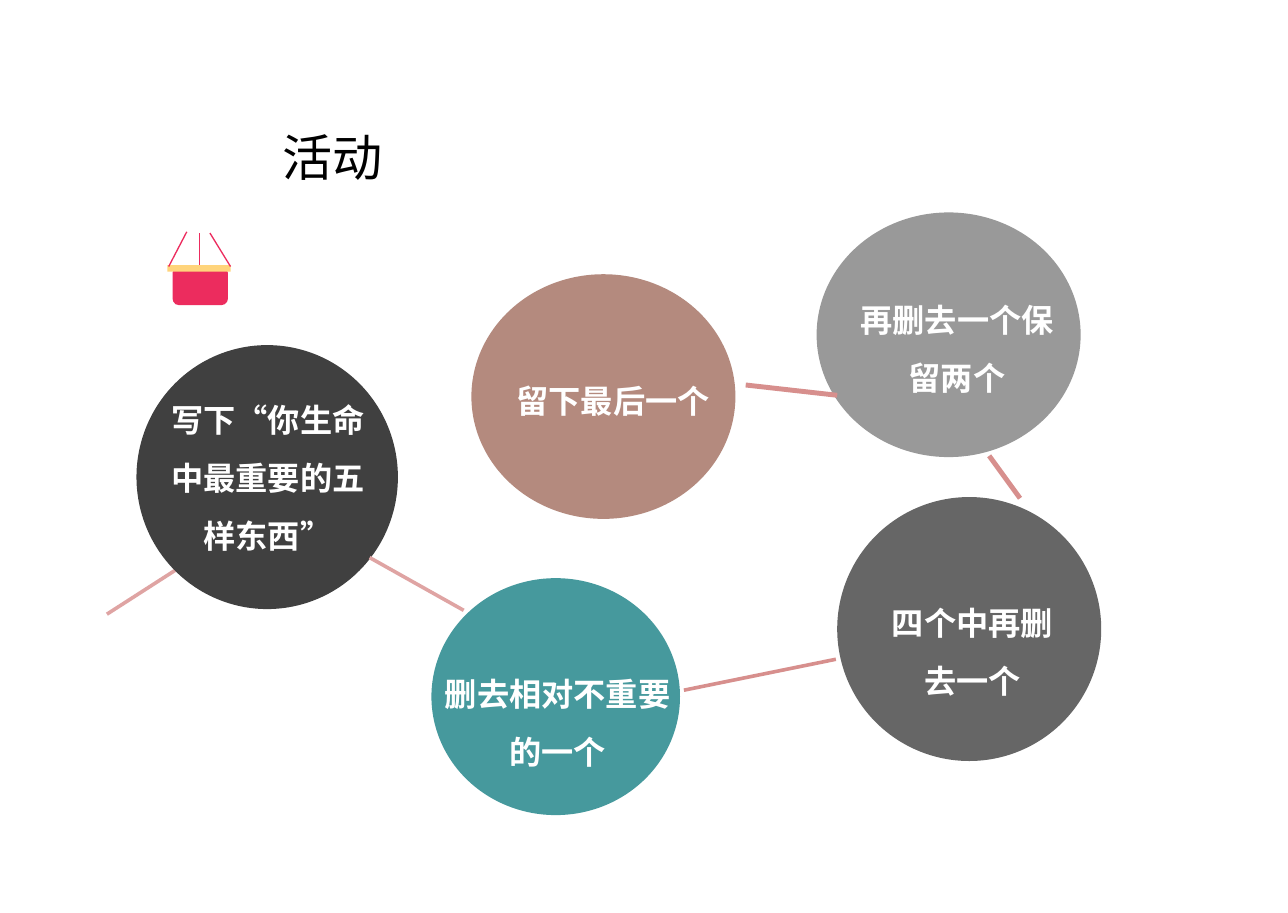
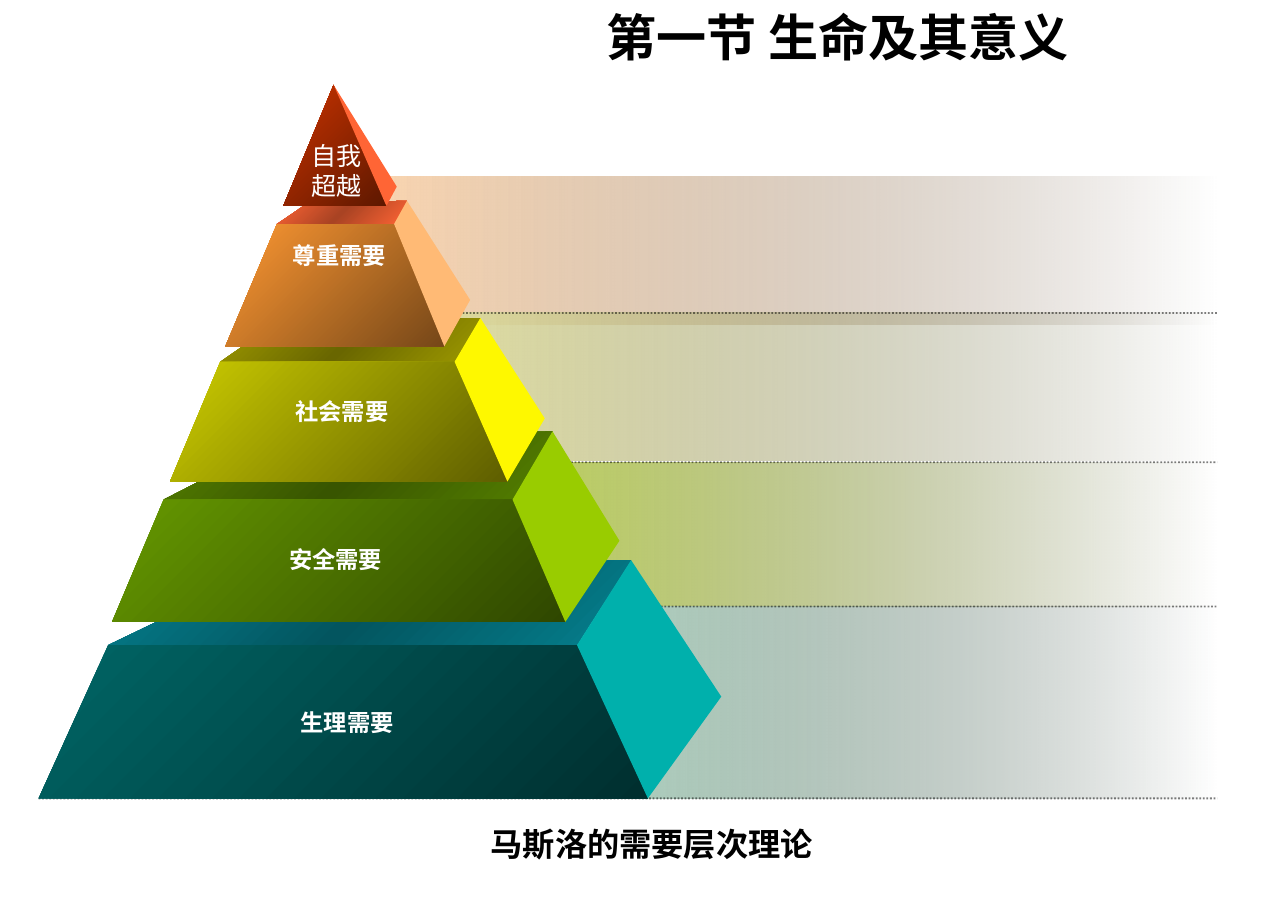
from dataclasses import dataclass
from typing import NamedTuple

from pptx import Presentation
from pptx.dml.color import RGBColor
from pptx.enum.dml import MSO_LINE
from pptx.enum.shapes import MSO_CONNECTOR, MSO_SHAPE
from pptx.enum.text import MSO_ANCHOR, MSO_AUTO_SIZE, PP_ALIGN
from pptx.oxml import parse_xml
from pptx.oxml.ns import nsdecls, qn
from pptx.util import Inches, Pt

STRAIGHT = MSO_CONNECTOR.STRAIGHT
OVAL, RECT, ROUNDED = MSO_SHAPE.OVAL, MSO_SHAPE.RECTANGLE, MSO_SHAPE.ROUNDED_RECTANGLE
TOP, MIDDLE = MSO_ANCHOR.TOP, MSO_ANCHOR.MIDDLE
LEFT, CENTER = PP_ALIGN.LEFT, PP_ALIGN.CENTER
DOTTED = MSO_LINE.ROUND_DOT
NO_AUTOFIT = MSO_AUTO_SIZE.NONE
TITLE_ONLY = 5


class Tone(NamedTuple):
    """Colours of one pyramid tier."""
    front: tuple
    side: str
    roof: tuple = ()
    band: tuple = ()


@dataclass(frozen=True)
class Theme:
    """Colours, fonts and type sizes shared by both slides."""
    ink: str = "000000"
    paper: str = "FFFFFF"
    basket: str = "EC2C5E"
    rim: str = "FFD47B"
    link_light: str = "DFA4A3"
    link_dark: str = "D78F8D"
    circles: tuple = ("404040", "46999D", "666666", "999999", "B48A7E")
    cjk_font: str = "Noto Sans CJK SC"
    label_font: str = "Arial"
    caption_font: str = "Times New Roman"
    title_size: int = 28
    body_size: int = 18
    peak_size: int = 14
    label_size: int = 13
    physical: Tone = Tone(("006666", "002F2F"), "00B0AC", ("05808F", "03555F"), ("ACCEBD", "505F57"))
    safety: Tone = Tone(("669900", "2F4700"), "99CC00", ("558000", "385500"), ("BED25A", "58612A"))
    social: Tone = Tone(("CCCC00", "5E5E00"), "FEF800", ("9E9A00", "696600"), ("E2E0A0", "69684A"))
    esteem: Tone = Tone(("FF9933", "764718"), "FFBA75", ("FF6535", "A94323"), ("FFD8B1", "766452"))
    peak: Tone = Tone(("CC3300", "5E1800"), "FF6535")


THEME = Theme()


class Step(NamedTuple):
    """One activity circle with the link that leads into it."""
    text: str
    circle: tuple
    label: tuple
    link: tuple
    link_color: str
    link_width: float


class Tier(NamedTuple):
    """One pyramid tier: front edges, side tip, back edge, band and label."""
    tone: Tone
    foot: tuple
    crown: tuple
    tip: tuple
    back: tuple = ()
    band: tuple = ()
    rule: tuple = ()
    text: str = ""
    label: tuple = ()


STEPS = (
    Step("写下“你生命中最重要的五样东西”", (0.23, 1.03, 2.03, 2.05), (0.31, 1.26, 1.88, 1.45),
         (0, 3.12, 0.56, 2.76), THEME.link_light, 2),
    Step("删去相对不重要的一个", (2.52, 2.84, 1.93, 1.84), (2.5, 3.39, 2, 1),
         (2.04, 2.68, 2.77, 3.09), THEME.link_light, 2),
    Step("四个中再删去一个", (5.67, 2.21, 2.05, 2.05), (5.9, 2.84, 1.64, 1),
         (4.48, 3.71, 5.66, 3.47), THEME.link_dark, 2),
    Step("再删去一个保留两个", (5.51, 0, 2.05, 1.9), (5.74, 0.48, 1.72, 1),
         (6.85, 1.89, 7.09, 2.22), THEME.link_dark, 2.75),
    Step("留下最后一个", (2.83, 0.48, 2.05, 1.9), (3.07, 1.11, 1.72, 0.55),
         (4.96, 1.34, 5.67, 1.42), THEME.link_dark, 2.75),
)

TIERS = (
    Tier(THEME.physical, (0, 4.73, 5.54), (0.54, 4.18, 4.35), (5.3, 4.75),
         ((1.81, 3.74), (4.6, 3.69)), (4.45, 4.05, 1.49), (0, 5.54),
         "生理需要", (0.84, 4.77, 3.11, 0.36)),
    Tier(THEME.safety, (0.57, 4.09, 4.17), (0.97, 3.68, 3.22), (4.51, 3.54),
         ((1.91, 2.74), (3.99, 2.69)), (3.61, 2.93, 1.12), (4.28, 4.05),
         "安全需要", (0.84, 3.5, 2.93, 0.36)),
    Tier(THEME.social, (1.02, 3.64, 3.08), (1.41, 3.23, 2.15), (3.93, 2.59),
         ((1.9, 1.81), (3.43, 1.81)), (2.94, 1.77, 1.15), (3.61, 2.93),
         "社会需要", (1.9, 2.4, 0.91, 0.27)),
    Tier(THEME.esteem, (1.45, 3.15, 2.03), (1.85, 2.76, 1.08), (3.35, 1.67),
         ((2.1, 0.91), (2.86, 0.9)), (2.37, 0.71, 1.15), (2.74, 1.77),
         "尊重需要", (1.88, 1.19, 0.91, 0.27)),
    Tier(THEME.peak, (1.9, 2.7, 0.94), (2.29, 2.29, 0), (2.78, 0.79)),
)


def within(box, part):
    """Shift a part's left and top by the corner of its box."""
    return (box[0] + part[0], box[1] + part[1], *part[2:])


def lengths(values):
    """Turn numbers into inch lengths."""
    return [Inches(value) for value in values]


def paint(shape, color):
    """Give a shape a flat fill or, for a list of stops, a gradient."""
    shape.shadow.inherit = False
    shape.line.fill.background()
    if isinstance(color, str):
        shape.fill.solid()
        shape.fill.fore_color.rgb = RGBColor.from_string(color)
    return shape


def paint_gradient(shape, colors, angle=45, end_alpha=100):
    """Spread colours evenly along an angle, the last one with its opacity."""
    paint(shape, None)
    shape.fill.background()
    last = len(colors) - 1
    stops = "".join(
        f'<a:gs pos="{index * 100000 // last}"><a:srgbClr val="{color}">'
        f'<a:alpha val="{(end_alpha if index == last else 100) * 1000}"/></a:srgbClr></a:gs>'
        for index, color in enumerate(colors))
    blank = shape.element.spPr.find(qn("a:noFill"))
    blank.getparent().replace(blank, parse_xml(
        f'<a:gradFill {nsdecls("a")} rotWithShape="1"><a:gsLst>{stops}</a:gsLst>'
        f'<a:lin ang="{angle * 60000}" scaled="0"/></a:gradFill>'))


def add_block(shapes, kind, box, color):
    """Add a flat preset shape."""
    return paint(shapes.add_shape(kind, *lengths(box)), color)


def add_face(shapes, origin, points):
    """Add a closed outline whose points are relative to the origin."""
    corners = [lengths(within(origin, point)) for point in dict.fromkeys(points)]
    builder = shapes.build_freeform(*corners[0], scale=1.0)
    builder.add_line_segments(corners[1:], close=True)
    return builder.convert_to_shape()


def add_line(shapes, origin, ends, color, width, dash=None, alpha=None):
    """Add a straight line between two points relative to the origin."""
    points = within(origin, ends[:2]) + within(origin, ends[2:])
    line = shapes.add_connector(STRAIGHT, *lengths(points))
    line.line.color.rgb = RGBColor.from_string(color)
    line.line.width = Pt(width)
    if dash:
        line.line.dash_style = dash
    properties = line._element.spPr
    if alpha:
        tint = properties.find(".//" + qn("a:srgbClr"))
        tint.append(parse_xml(f'<a:alpha {nsdecls("a")} val="{alpha * 1000}"/>'))
    properties.append(parse_xml(f'<a:effectLst {nsdecls("a")}/>'))


def write(box, text, size, font=THEME.cjk_font, color=THEME.ink, bold=False, align=LEFT,
          anchor=TOP, spacing=None, wrap=True, shadow=False):
    """Fill a shape with formatted text, one paragraph a line."""
    frame = box.text_frame
    frame.text = text
    frame.word_wrap = wrap
    frame.auto_size = NO_AUTOFIT
    frame.vertical_anchor = anchor
    for para in frame.paragraphs:
        para.alignment = align
        if spacing:
            para.line_spacing = spacing
        for span in para.runs:
            span.font.name = font
            span.font.size = Pt(size)
            span.font.bold = bold
            span.font.color.rgb = RGBColor.from_string(color)
            latin = span.font._element.find(qn("a:latin"))
            latin.addnext(parse_xml(f'<a:ea {nsdecls("a")} typeface="{THEME.cjk_font}"/>'))
            if shadow:
                latin.addprevious(parse_xml(
                    f'<a:effectLst {nsdecls("a")}><a:outerShdw dist="17961" dir="2700000">'
                    '<a:srgbClr val="808080"/></a:outerShdw></a:effectLst>'))
    return box


def add_text(shapes, box, text, size, **style):
    """Add a formatted text box."""
    return write(shapes.add_textbox(*lengths(box)), text, size, **style)


def add_page(deck, title, box, bold=False):
    """Add a slide with its title placeholder moved into the box."""
    page = deck.slides.add_slide(deck.slide_layouts[TITLE_ONLY])
    heading = page.shapes.title
    heading.left, heading.top, heading.width, heading.height = lengths(box)
    write(heading, title, THEME.title_size, bold=bold)
    return page


def draw_basket(page, box):
    """Draw the hanging basket with its rim and three ropes."""
    shapes = page.shapes.add_group_shape().shapes
    add_block(shapes, ROUNDED, within(box, (0.04, 0.27, 0.43, 0.3)), THEME.basket)
    add_block(shapes, RECT, within(box, (0, 0.26, 0.49, 0.05)), THEME.rim)
    for rope in ((0.15, 0, 0.01, 0.27), (0.33, 0.01, 0.49, 0.27), (0.25, 0.01, 0.25, 0.26)):
        add_line(shapes, box, rope, THEME.basket, 0.75)


def draw_steps(page, box):
    """Draw the linked circles of the activity."""
    for step, color in zip(STEPS, THEME.circles):
        add_line(page.shapes, box, step.link, step.link_color, step.link_width)
        add_block(page.shapes, OVAL, within(box, step.circle), color)
        add_text(page.shapes, within(box, step.label), step.text, THEME.body_size,
                 color=THEME.paper, bold=True, align=CENTER, spacing=1.5)


def draw_bands(shapes, box):
    """Draw the fading bands and the dotted rules that end at the right edge."""
    right = box[2]
    tiers = [tier for tier in reversed(TIERS) if tier.band]
    for tier in tiers:
        left, top, height = tier.band
        band = shapes.add_shape(RECT, *lengths(within(box, (left, top, right - left, height))))
        paint_gradient(band, tier.tone.band, angle=0, end_alpha=0)
    for tier in tiers:
        left, top = tier.rule
        add_line(shapes, box, (left, top, right, top), THEME.ink, 1, dash=DOTTED, alpha=50)


def draw_tier(shapes, box, tier):
    """Draw the roof, front and side of one tier."""
    foot_left, foot_right, foot = tier.foot
    crown_left, crown_right, crown = tier.crown
    near_left, near_right = (crown_left, crown), (crown_right, crown)
    corner = (foot_right, foot)
    far_right = near_right
    if tier.back:
        far_left, far_right = tier.back
        roof = add_face(shapes, box, (near_left, near_right, far_right, far_left))
        paint_gradient(roof, (*tier.tone.roof, tier.tone.roof[0]))
    front = add_face(shapes, box, ((foot_left, foot), corner, near_right, near_left))
    paint_gradient(front, tier.tone.front)
    paint(add_face(shapes, box, (corner, tier.tip, far_right, near_right)), tier.tone.side)


def draw_pyramid(page, box):
    """Draw the pyramid of needs with its bands and labels."""
    shapes = page.shapes.add_group_shape().shapes
    draw_bands(shapes, box)
    for tier in TIERS:
        draw_tier(shapes, box, tier)
    for tier in TIERS:
        if tier.text:
            add_text(shapes, within(box, tier.label), tier.text, THEME.label_size,
                     font=THEME.label_font, color=THEME.paper, bold=True, align=CENTER,
                     anchor=MIDDLE, wrap=False, shadow=True)
    add_text(page.shapes, within(box, (2.02, 0.38, 0.85, 0.57)), "自我\n超越", THEME.peak_size,
             font=THEME.label_font, color=THEME.paper)


def main():
    """Build both slides and save the deck."""
    deck = Presentation()
    deck.slide_width, deck.slide_height = lengths((10, 7.09))

    activity = add_page(deck, "活动", (2.09, 0.93, 5.39, 0.57))
    draw_basket(activity, (1.3, 1.8, 0.49, 0.57))
    draw_steps(activity, (0.83, 1.65, 7.72, 4.68))

    needs = add_page(deck, "第一节 生命及其意义", (4.61, 0, 5.51, 0.57), bold=True)
    draw_pyramid(needs, (0.3, 0.66, 9.15, 5.54))
    caption = add_text(needs.shapes, (3.6, 6.35, 2.81, 0.4), "马斯洛的需要层次理论",
                       THEME.body_size, font=THEME.caption_font, bold=True, wrap=False)
    caption.text_frame.margin_left = Inches(0.21)

    deck.save("out.pptx")


if __name__ == "__main__":
    main()
